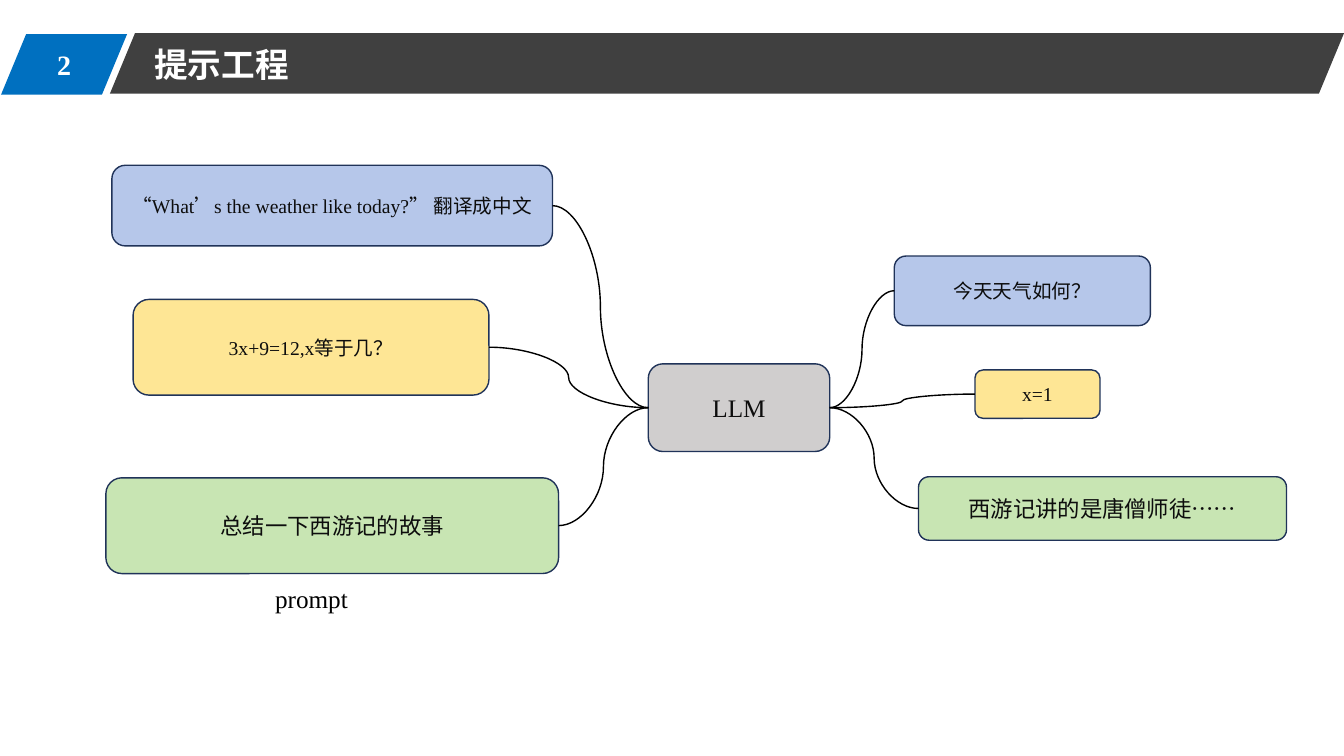
import pptx
import pptx.util
import pptx.dml.color
import pptx.enum.shapes
import pptx.enum.text
import pptx.oxml.ns
import lxml.etree

Inches = pptx.util.Inches
RGBColor = pptx.dml.color.RGBColor
MSO_SHAPE = pptx.enum.shapes.MSO_SHAPE
PP_ALIGN = pptx.enum.text.PP_ALIGN
MSO_ANCHOR = pptx.enum.text.MSO_ANCHOR
qn = pptx.oxml.ns.qn

BLUE = RGBColor(0xB6, 0xC7, 0xEA)
YELLOW = RGBColor(0xFE, 0xE6, 0x95)
GREEN = RGBColor(0xC8, 0xE5, 0xB3)
GREY = RGBColor(0xD0, 0xCE, 0xCE)
OUTLINE = RGBColor(0x20, 0x33, 0x59)
INK = RGBColor(0x0D, 0x0D, 0x0D)
BLACK = RGBColor(0, 0, 0)
WHITE = RGBColor(0xFF, 0xFF, 0xFF)
BANNER = RGBColor(0x40, 0x40, 0x40)
ACCENT = RGBColor(0x00, 0x70, 0xC0)
SERIF = "Times New Roman"
SANS = "Noto Sans CJK SC"


def write(sp, text, size, font, color, align, bold=False):
    tf = sp.text_frame
    tf.text = text
    p = tf.paragraphs[0]
    p.alignment = align
    r = p.runs[0]
    r.font.size = pptx.util.Pt(size)
    r.font.name = font
    r.font.bold = bold
    r.font.color.rgb = color
    ea = lxml.etree.SubElement(r.font._element, qn("a:ea"))
    ea.set("typeface", SANS)


def add_box(box, text, size, font, fill):
    sp = s.shapes.add_shape(MSO_SHAPE.ROUNDED_RECTANGLE, *map(Inches, box))
    sp.shadow.inherit = False
    sp.fill.solid()
    sp.fill.fore_color.rgb = fill
    sp.line.color.rgb = OUTLINE
    sp.line.width = pptx.util.Pt(1)
    sp.text_frame.vertical_anchor = MSO_ANCHOR.MIDDLE
    write(sp, text, size, font, INK, PP_ALIGN.CENTER)
    return sp


prs = pptx.Presentation()
prs.slide_width = Inches(13.33)
prs.slide_height = Inches(7.5)
s = prs.slides.add_slide(prs.slide_layouts[5])

llm = add_box((6.43, 3.61, 1.8, 0.87), "LLM", 18, SERIF, GREY)

prompts = [
    ((1.11, 1.64, 4.37, 0.8), "“What’s the weather like today?”\u00a0翻译成中文", 14, SERIF, BLUE),
    ((1.32, 2.97, 3.53, 0.95), "3x+9=12,x等于几？", 14, SERIF, YELLOW),
    ((1.05, 4.74, 4.49, 0.95), "总结一下西游记的故事", 16, SANS, GREEN),
]
answers = [
    ((8.87, 2.54, 2.54, 0.69), "今天天气如何？", 14, SERIF, BLUE),
    ((9.67, 3.67, 1.24, 0.48), "x=1", 14, SERIF, YELLOW),
    ((9.11, 4.73, 3.65, 0.63), "西游记讲的是唐僧师徒……", 16, SANS, GREEN),
]
links = [(add_box(*prompt), llm) for prompt in prompts]
links += [(llm, add_box(*answer)) for answer in answers]

for source, target in links:
    link = s.shapes.add_connector(pptx.enum.shapes.MSO_CONNECTOR.CURVE, 0, 0, 0, 0)
    link.begin_connect(source, 3)
    link.end_connect(target, 1)
    link.line.color.rgb = BLACK
    link.line.width = pptx.util.Pt(1)
    lxml.etree.SubElement(link._element.spPr, qn("a:effectLst"))

for box, fill in [((1.09, 0.33, 12.24, 0.6), BANNER), ((0.01, 0.34, 1.25, 0.6), ACCENT)]:
    sp = s.shapes.add_shape(MSO_SHAPE.PARALLELOGRAM, *map(Inches, box))
    sp.adjustments[0] = 0.415
    sp.shadow.inherit = False
    sp.fill.solid()
    sp.fill.fore_color.rgb = fill
    sp.line.fill.background()

number = s.shapes.add_textbox(Inches(0.18), Inches(0.42), Inches(0.91), Inches(0.44))
number.text_frame.word_wrap = True
write(number, "2", 20, SERIF, WHITE, PP_ALIGN.CENTER, True)

title = s.shapes.title
title.left, title.top = Inches(1.43), Inches(0.39)
title.width, title.height = Inches(1.55), Inches(0.5)
title.text_frame.word_wrap = False
title.text_frame.auto_size = pptx.enum.text.MSO_AUTO_SIZE.NONE
title.text_frame.vertical_anchor = MSO_ANCHOR.MIDDLE
write(title, "提示工程", 24, SANS, WHITE, PP_ALIGN.LEFT, True)
title._element.getparent().append(title._element)

caption = s.shapes.add_textbox(Inches(2.63), Inches(5.74), Inches(1.81), Inches(0.4))
caption.text_frame.word_wrap = True
write(caption, "prompt", 18, SERIF, BLACK, PP_ALIGN.LEFT)

prs.save("out.pptx")
